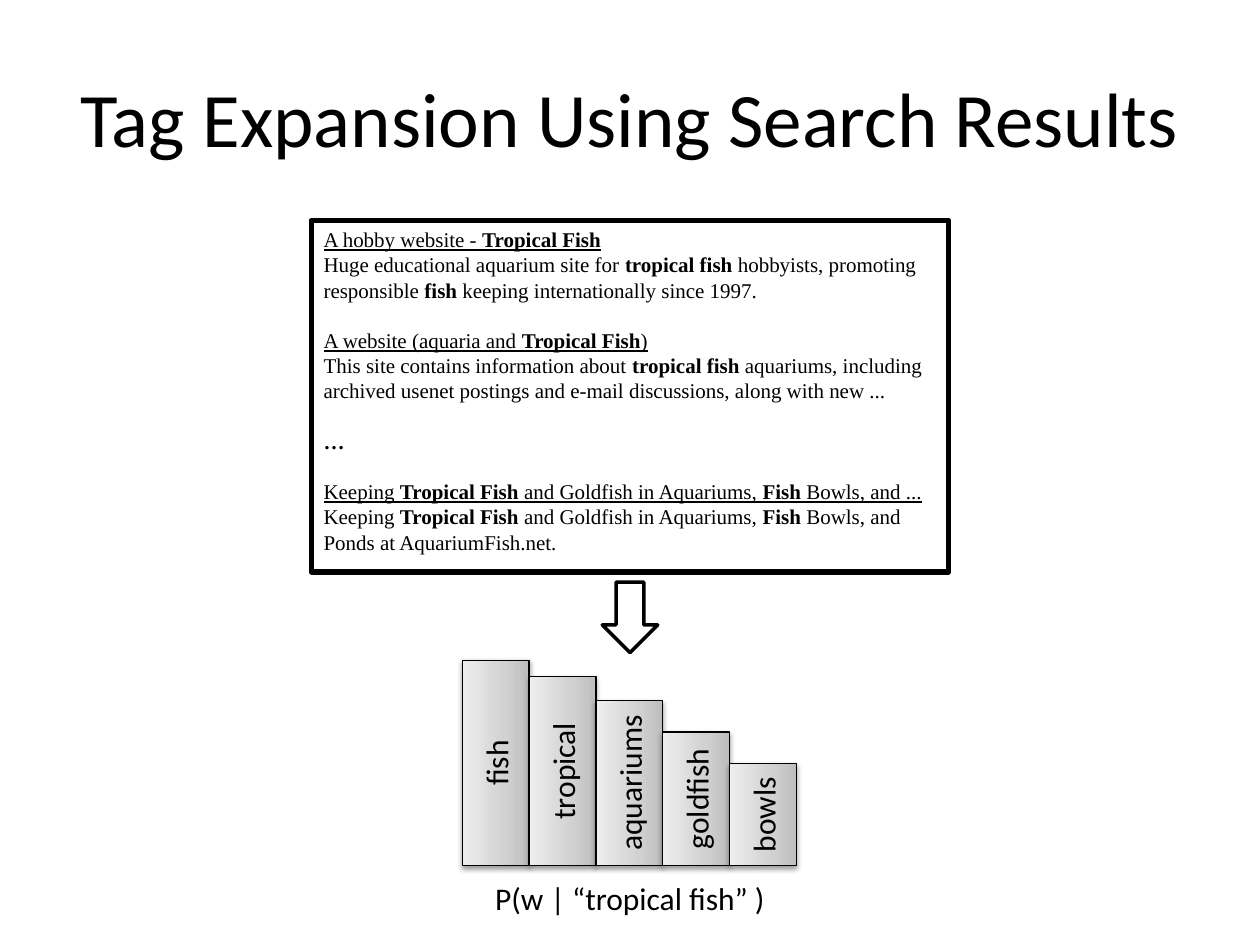
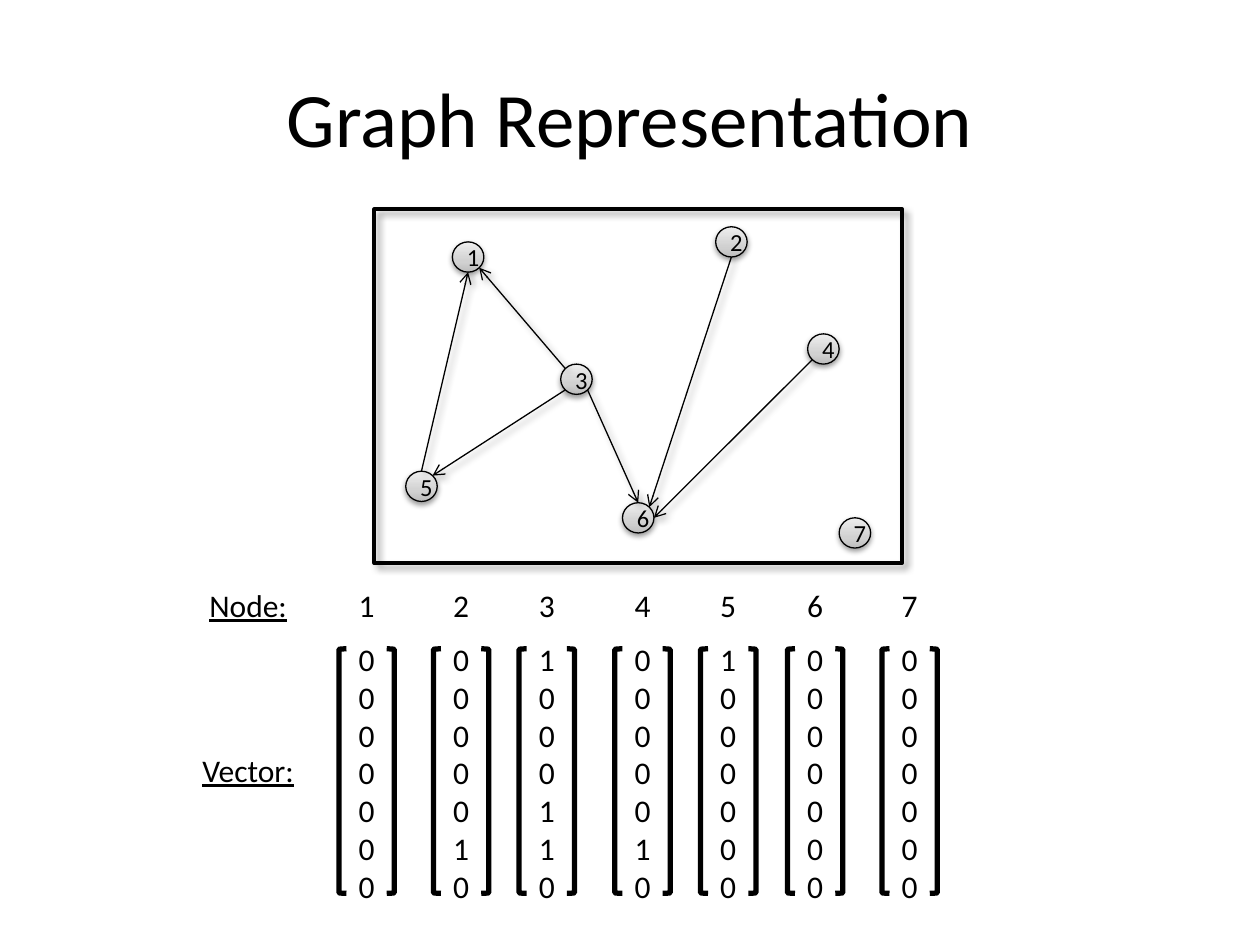
from math import cos, radians, sin

from lxml import etree
from pptx import Presentation
from pptx.dml import color
from pptx.enum import shapes, text
from pptx.oxml import ns
from pptx.util import Inches, Pt

COLOURS = {"ink": "000000", "paper": "FFFFFF"}
GREY_STOPS = [(0, "BDBDBD"), (35, "D1D1D1"), (100, "EEEEEE")]
SOFT_SHADOW = {"alpha": 38, "blur": 3.1, "dist": 1.6, "angle": 90}
DEEP_SHADOW = {"alpha": 40, "blur": 4, "dist": 3, "angle": 45}
BODY_FONT, RESULT_FONT = "Calibri", "Times New Roman"

RESULTS = [
    ("A hobby website - *Tropical Fish*",
     "Huge educational aquarium site for *tropical fish *hobbyists, promoting "
     "responsible *fish* keeping internationally since 1997."),
    ("A website (aquaria and *Tropical Fish*)",
     "This site contains information about *tropical fish *aquariums, including "
     "archived usenet postings and e-mail discussions, along with new ..."),
    (None, "*…*"),
    ("Keeping *Tropical Fish *and Goldfish in Aquariums, *Fish* Bowls, and ...",
     "Keeping *Tropical Fish *and Goldfish in Aquariums, *Fish* Bowls, and "
     "Ponds at AquariumFish.net."),
]
WORD_BARS = [("fish", 1.63), ("tropical", 1.5), ("aquariums", 1.31),
             ("goldfish", 1.06), ("bowls", 0.81)]
BAR_LEFT, BAR_BOTTOM, BAR_WIDTH = 3.67, 6.87, 0.53

NODES = {1: (3.59, 1.92), 2: (5.68, 1.8), 3: (4.45, 2.89), 4: (6.41, 2.65),
         5: (3.22, 3.74), 6: (4.94, 3.99), 7: (6.66, 4.11)}
NODE_WIDTH, NODE_HEIGHT = 0.25, 0.24
COMPASS = {"E": 0, "NE": 45, "N": 90, "NW": 135, "S": 270, "SW": 225, "SE": 315}
EDGES = [(3, "NW", 1, "SE"), (3, "SE", 6, "N"), (4, "SW", 6, "E"),
         (3, "SW", 5, "NE"), (2, "S", 6, "NE"), (5, "N", 1, "S")]
VECTOR_LEFTS = [2.69, 3.44, 4.12, 4.88, 5.56, 6.25, 7]
NODE_ROW_TOP, BRACKET_TOP = 4.6, 5.15


def rgb(name):
    return color.RGBColor.from_string(COLOURS[name])


def style_font(font, size, name=BODY_FONT):
    font.size, font.name = Pt(size), name
    font.color.rgb = rgb("ink")


def write_lines(frame, lines, size, underline=None):
    for index, line in enumerate(lines):
        para = frame.add_paragraph() if index else frame.paragraphs[0]
        para.text = line
        para.alignment = text.PP_ALIGN.CENTER
        style_font(para.font, size)
        para.font.underline = underline


def add_label(page, place, lines, underline=None):
    box = page.shapes.add_textbox(*map(Inches, place))
    box.text_frame.word_wrap = True
    write_lines(box.text_frame, lines, 18, underline)


def add_outline(page, kind, place, width, fill=None):
    shape = page.shapes.add_shape(kind, *map(Inches, place))
    shape.shadow.inherit = False
    if fill:
        shape.fill.solid()
        shape.fill.fore_color.rgb = rgb(fill)
    else:
        shape.fill.background()
    shape.line.color.rgb = rgb("ink")
    shape.line.width = Pt(width)
    return shape


def set_shadow(item, shadow):
    properties = item._element.spPr
    effects = properties.find(ns.qn("a:effectLst"))
    if effects is None:
        effects = etree.SubElement(properties, ns.qn("a:effectLst"))
    outer = etree.SubElement(effects, ns.qn("a:outerShdw"), {
        "blurRad": str(Pt(shadow["blur"])), "dist": str(Pt(shadow["dist"])),
        "dir": str(shadow["angle"] * 60000), "rotWithShape": "0"})
    tint = etree.SubElement(outer, ns.qn("a:srgbClr"), val=COLOURS["ink"])
    etree.SubElement(tint, ns.qn("a:alpha"), val=str(shadow["alpha"] * 1000))


def add_grey_shape(page, kind, place, label, size):
    shape = add_outline(page, kind, place, 0.75)
    shape.fill.gradient()
    shape.fill.gradient_angle = 90
    stops = shape._element.spPr.find(ns.qn("a:gradFill")).find(ns.qn("a:gsLst"))
    for stop in list(stops):
        stops.remove(stop)
    for position, value in GREY_STOPS:
        stop = etree.SubElement(stops, ns.qn("a:gs"), pos=str(position * 1000))
        etree.SubElement(stop, ns.qn("a:srgbClr"), val=value)
    set_shadow(shape, SOFT_SHADOW)
    shape.text_frame.vertical_anchor = text.MSO_ANCHOR.MIDDLE
    write_lines(shape.text_frame, [label], size)
    return shape


def add_page(deck, title):
    page = deck.slides.add_slide(deck.slide_layouts[5])
    holder = page.shapes.title
    holder.left, holder.top, holder.width, holder.height = map(
        Inches, (0.5, 0.3, 9, 1.25))
    holder.text_frame.vertical_anchor = text.MSO_ANCHOR.MIDDLE
    write_lines(holder.text_frame, [title], 44)
    return page


def add_results(page):
    box = add_outline(page, shapes.MSO_SHAPE.RECTANGLE, (2.47, 1.75, 5.06, 2.79), 3)
    frame = box.text_frame
    frame.vertical_anchor = text.MSO_ANCHOR.TOP
    para = frame.paragraphs[0]
    for index, (heading, summary) in enumerate(RESULTS):
        lines = [(heading, True), (summary, False)] if heading else [(summary, False)]
        for row, (line, underline) in enumerate(lines):
            if index or row:
                para = frame.add_paragraph()
            if index and not row:
                para.space_before = Pt(14.4)
            para.alignment = text.PP_ALIGN.LEFT
            style_font(para.font, 12, RESULT_FONT)
            para.font.underline = underline
            for part, words in enumerate(line.split("*")):
                if words:
                    span = para.add_run()
                    span.text = words
                    span.font.bold = part % 2 == 1


def build_expansion(deck):
    page = add_page(deck, "Tag Expansion Using Search Results")
    add_results(page)
    for index, (word, height) in enumerate(WORD_BARS):
        centre_x = BAR_LEFT + (index + 0.5) * BAR_WIDTH
        centre_y = BAR_BOTTOM - height / 2
        place = (centre_x - height / 2, centre_y - BAR_WIDTH / 2, height, BAR_WIDTH)
        bar = add_grey_shape(page, shapes.MSO_SHAPE.RECTANGLE, place, word, 18)
        bar.rotation = 270
    add_label(page, (3.81, 6.93, 2.38, 0.4), ["P(w | “tropical fish” )"])
    add_outline(page, shapes.MSO_SHAPE.DOWN_ARROW, (4.78, 4.62, 0.44, 0.56), 2, "paper")


def rim_point(node, side):
    left, top = NODES[node]
    angle = radians(COMPASS[side])
    return (Inches(left + NODE_WIDTH / 2 * (1 + cos(angle))),
            Inches(top + NODE_HEIGHT / 2 * (1 - sin(angle))))


def add_edge(page, source, source_side, target, target_side):
    edge = page.shapes.add_connector(
        shapes.MSO_CONNECTOR.STRAIGHT,
        *rim_point(source, source_side), *rim_point(target, target_side))
    edge.line.color.rgb = rgb("ink")
    edge.line.width = Pt(0.75)
    line = edge._element.spPr.find(ns.qn("a:ln"))
    etree.SubElement(line, ns.qn("a:tailEnd"), type="arrow")
    set_shadow(edge, DEEP_SHADOW)


def build_graph(deck):
    page = add_page(deck, "Graph Representation")
    for node, (left, top) in NODES.items():
        place = (left, top, NODE_WIDTH, NODE_HEIGHT)
        add_grey_shape(page, shapes.MSO_SHAPE.OVAL, place, str(node), 14)
    for edge in EDGES:
        add_edge(page, *edge)
    links = {(source, target) for source, _, target, _ in EDGES}
    for node, left in zip(NODES, VECTOR_LEFTS):
        vector = [str(int((node, target) in links)) for target in NODES]
        add_label(page, (left, NODE_ROW_TOP, 0.44, 0.4), [str(node)])
        add_label(page, (left - 0.06, 5.03, 0.56, 2.22), vector)
        for offset in (0, 0.38):
            bracket = add_outline(page, shapes.MSO_SHAPE.LEFT_BRACKET,
                                  (left + offset, BRACKET_TOP, 0.06, 1.94), 3)
            if offset:
                bracket._element.spPr.find(ns.qn("a:xfrm")).set("flipH", "1")
    for label, top in (("Node:", NODE_ROW_TOP), ("Vector:", 5.91)):
        add_label(page, (1.25, top, 1.44, 0.4), [label], underline=True)
    frame = add_outline(page, shapes.MSO_SHAPE.RECTANGLE, (2.97, 1.66, 4.19, 2.81), 2)
    set_shadow(frame, DEEP_SHADOW)


def main():
    deck = Presentation()
    deck.slide_width, deck.slide_height = Inches(10), Inches(7.5)
    build_expansion(deck)
    build_graph(deck)
    deck.save("out.pptx")


if __name__ == "__main__":
    main()
